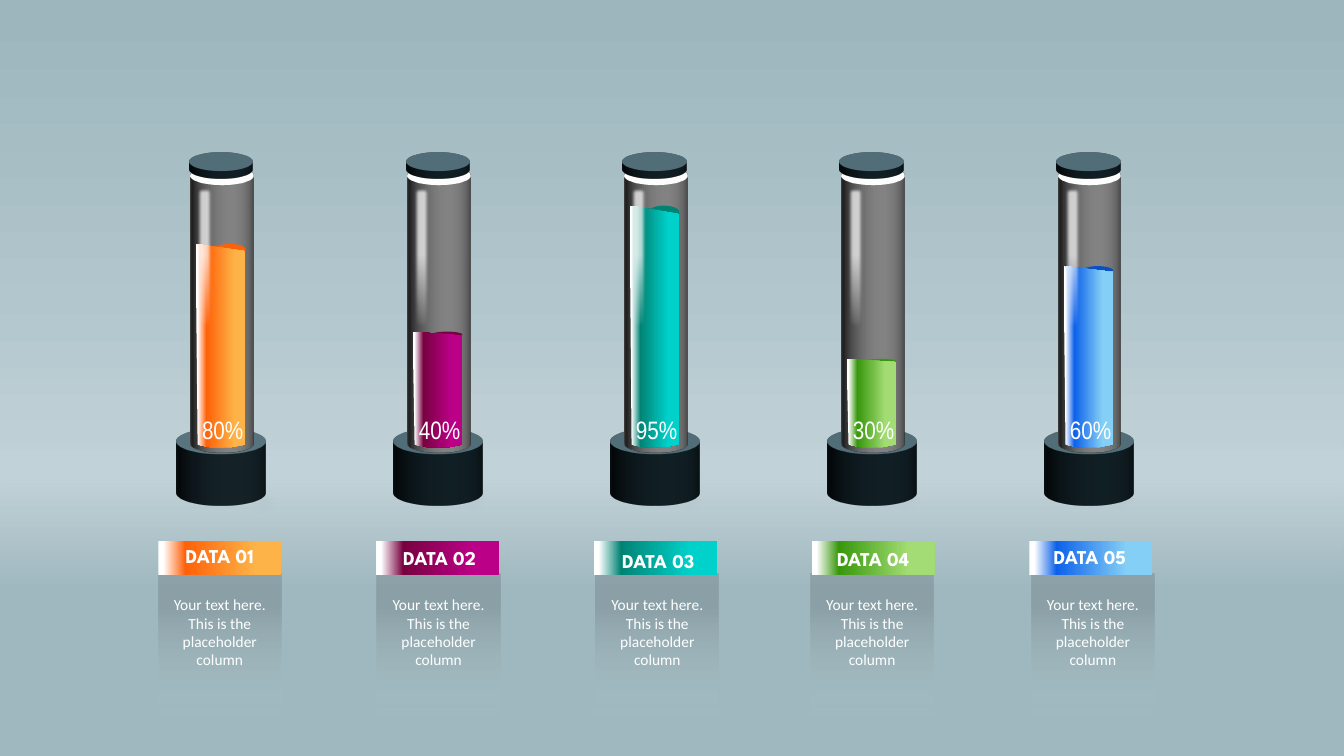
from dataclasses import dataclass

from lxml.etree import SubElement
from pptx import Presentation
from pptx.dml.color import RGBColor
from pptx.enum.shapes import MSO_SHAPE as Shape
from pptx.enum.text import MSO_AUTO_SIZE as AutoSize
from pptx.enum.text import PP_ALIGN as Align
from pptx.oxml.ns import qn
from pptx.util import Inches, Pt


@dataclass(frozen=True)
class Theme:
    white: str = "FFFFFF"
    black: str = "000000"
    mist: str = "9FB8BF"
    glow: str = "D3DFE3"
    steel: str = "223E49"
    shadow_line: str = "325491"
    body_font: str = "Calibri"
    label_font: str = "League Spartan"
    value_font: str = "Arial Narrow"
    body_size: int = 11
    label_size: int = 14
    value_size: int = 18

    @property
    def backdrop(self):
        return [(2, "9DB6BD"), (63, "BFD1D7"), (78, self.mist), (100, self.mist)]

    @property
    def floor(self):
        return [(16, self.glow, 7), (56, self.mist), (83, self.mist)]

    @property
    def card(self):
        return [(4, self.white, 0), (79, self.black, 13)]

    @property
    def highlight(self):
        return [(30, self.white, 72), (63, self.white, 0)]

    def liquid(self, dark, light):
        return [(4, self.white), (22, dark), (79, light)]


@dataclass(frozen=True)
class Tube:
    value: str
    dark: str
    light: str
    surface: str
    level: float        # row of the liquid's upper left corner
    wave: float         # height of the visible surface
    card_left: float
    label_left: float
    label_top: float
    shadow_left: float
    shadow_top: float = 47.7
    base: str = "223E49"


TUBES = [
    Tube("80%", "FF6109", "FDB347", "FF6109", 24.2, 1.1, 15.7, 16.6, 53.5, 20.9,
         48, "294550"),
    Tube("40%", "780240", "BB0087", "780240", 32.9, 0.6, 37.4, 38.4, 53.7, 41.8),
    Tube("95%", "018374", "00D2CB", "018374", 20.4, 1.3, 59.1, 60.1, 54, 63.2),
    Tube("30%", "37970B", "A3DC74", "37970B", 35.6, 0.5, 80.4, 81.4, 53.8, 84.6),
    Tube("60%", "0D61E9", "84CFF6", "0B50C1", 26.4, 0.9, 102.3, 102.9, 53.6, 106),
]
TUBE_LEFT, TUBE_PITCH = 17.5, 21.52
STRIP_LEFT, STRIP_PITCH = 15.7, 21.6
BODY_TEXT = "Your text here. This is the placeholder column"


class SlideBuilder:
    """Draws on a square grid that has 75 rows down the slide."""

    ROWS = 75
    TILT = 287  # degrees that turn a disc to face upwards

    def __init__(self, presentation, theme):
        self.theme = theme
        self.cell = presentation.slide_height / self.ROWS
        self.slide = presentation.slides.add_slide(presentation.slide_layouts[6])
        self.shapes = self.slide.shapes

    def grid(self, *lengths):
        return [round(length * self.cell) for length in lengths]

    def set_gradient(self, fill, holder, stops, angle):
        fill.gradient()
        gradient = holder.find(qn("a:gradFill"))
        stop_list = gradient.find(qn("a:gsLst"))
        stop_list.clear()
        for position, color, *opacity in stops:
            stop = SubElement(stop_list, qn("a:gs"), pos=str(position * 1000))
            value = SubElement(stop, qn("a:srgbClr"), val=color)
            if opacity:
                SubElement(value, qn("a:alpha"), val=str(opacity[0] * 1000))
        gradient.find(qn("a:lin")).set("ang", str(angle * 60000))

    def background(self, stops):
        fill = self.slide.background.fill
        fill.gradient()
        holder = self.slide.element.find(".//" + qn("p:bgPr"))
        self.set_gradient(fill, holder, stops, 90)

    def paint(self, shape, fill, angle=0, line=None):
        """Fill with one colour, or with a list of gradient stops."""
        shape.shadow.inherit = False
        if line:
            shape.line.color.rgb = RGBColor.from_string(line)
            shape.line.width = Pt(1)
        else:
            shape.line.fill.background()
        if isinstance(fill, str):
            shape.fill.solid()
            shape.fill.fore_color.rgb = RGBColor.from_string(fill)
        else:
            self.set_gradient(shape.fill, shape.element.spPr, fill, angle)
        return shape

    def preset(self, kind, box, fill, angle=0, line=None):
        shape = self.shapes.add_shape(kind, *self.grid(*box))
        return self.paint(shape, fill, angle, line)

    def rectangle(self, *box, fill, angle=0):
        return self.preset(Shape.RECTANGLE, box, fill, angle)

    def ellipse(self, *box, fill, line=None):
        return self.preset(Shape.OVAL, box, fill, line=line)

    def soften(self, shape, points):
        effects = shape.element.spPr.find(qn("a:effectLst"))
        SubElement(effects, qn("a:softEdge"), rad=str(Pt(points)))

    def cylinder(self, *box, depth, fill, line=None):
        """A disc seen from above and extruded downwards."""
        properties = self.ellipse(*box, fill=fill, line=line).element.spPr
        scene = SubElement(properties, qn("a:scene3d"))
        camera = SubElement(scene, qn("a:camera"), prst="orthographicFront")
        SubElement(camera, qn("a:rot"), lat=str(self.TILT * 60000), lon="0", rev="0")
        SubElement(scene, qn("a:lightRig"), rig="threePt", dir="t")
        SubElement(properties, qn("a:sp3d"), extrusionH=str(self.grid(depth)[0]))

    def liquid(self, left, top, wave, fill):
        """A column with a slanted top and a slightly rounded foot."""
        outline = [(4.9, top + wave * 0.65), (4.9, 44.1), (3.6, 44.35),
                   (1.6, 44.4), (0.2, 44.1)]
        builder = self.shapes.build_freeform(*self.grid(left, top))
        builder.add_line_segments([self.grid(left + x, y) for x, y in outline])
        self.paint(builder.convert_to_shape(), fill)

    def text(self, left, top, width, height, words, font, size,
             bold=False, align=Align.CENTER, wrap=True):
        box = self.shapes.add_textbox(*self.grid(left, top, width, height))
        box.text_frame.word_wrap = wrap
        box.text_frame.auto_size = AutoSize.SHAPE_TO_FIT_TEXT
        box.text_frame.text = words
        paragraph = box.text_frame.paragraphs[0]
        paragraph.alignment = align
        style = paragraph.runs[0].font
        style.name, style.size, style.bold = font, Pt(size), bold
        style.color.rgb = RGBColor.from_string(self.theme.white)

    def card(self, tube):
        theme = self.theme
        self.rectangle(tube.card_left, 56.9, 12.2, 15.1, fill=theme.card, angle=270)
        self.text(tube.card_left, 58.55, 12.2, 8.4, BODY_TEXT,
                  theme.body_font, theme.body_size)

    def tube_shadow(self, tube):
        shadow = self.ellipse(tube.shadow_left, tube.shadow_top, 10.4, 3.7,
                              fill=self.theme.black, line=self.theme.shadow_line)
        self.soften(shadow, 12.5)

    def test_tube(self, left, tube):
        theme = self.theme
        # Base and glass
        self.cylinder(left, 39.4, 8.8, 8.8, depth=5.3, fill=tube.base)
        self.cylinder(left + 1.4, 14.3, 6.2, 6.4, depth=27.7,
                      fill=theme.white, line=theme.white)
        # Liquid
        self.ellipse(left + 3.75, tube.level, 3.1, tube.wave, fill=tube.surface)
        self.liquid(left + 1.9, tube.level, tube.wave,
                    theme.liquid(tube.dark, tube.light))
        # Cap
        self.cylinder(left + 1.25, 12.9, 6.3, 6.3, depth=0.8, fill=theme.steel)
        # Reflection and value
        reflection = self.rectangle(left + 1.9, 18.5, 1.8, 22.7,
                                    fill=theme.highlight, angle=90)
        self.soften(reflection, 2.5)
        self.text(left + 1.55, 40.6, 6.5, 4, tube.value, theme.value_font,
                  theme.value_size, align=Align.LEFT, wrap=False)

    def label(self, left, tube, number):
        theme = self.theme
        self.rectangle(left, 53.7, 12.2, 3.35, fill=theme.liquid(tube.dark, tube.light))
        self.text(tube.label_left, tube.label_top, 10.4, 3.4, f"DATA {number:02}",
                  theme.label_font, theme.label_size, bold=True)


def main():
    presentation = Presentation()
    presentation.slide_width, presentation.slide_height = Inches(13.33), Inches(7.5)
    theme = Theme()
    builder = SlideBuilder(presentation, theme)

    # Backdrop
    builder.background(theme.backdrop)
    builder.rectangle(0, 37.7, 133.3, 37.3, fill=theme.floor, angle=90)

    # Cards and shadows lie behind the tubes
    for tube in TUBES:
        builder.card(tube)
    for tube in TUBES:
        builder.tube_shadow(tube)

    # Five tubes with their labels
    for index, tube in enumerate(TUBES):
        builder.test_tube(TUBE_LEFT + index * TUBE_PITCH, tube)
        builder.label(STRIP_LEFT + index * STRIP_PITCH, tube, index + 1)

    presentation.save("out.pptx")


if __name__ == "__main__":
    main()
